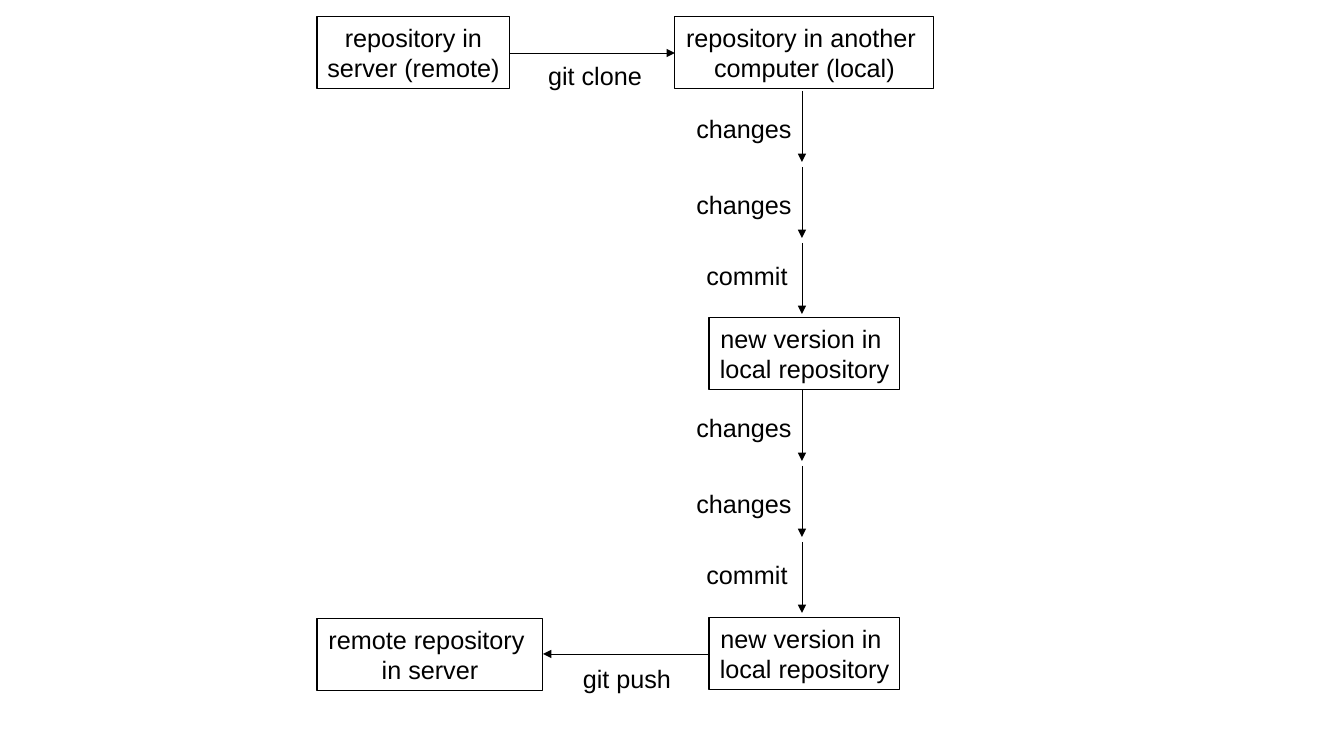
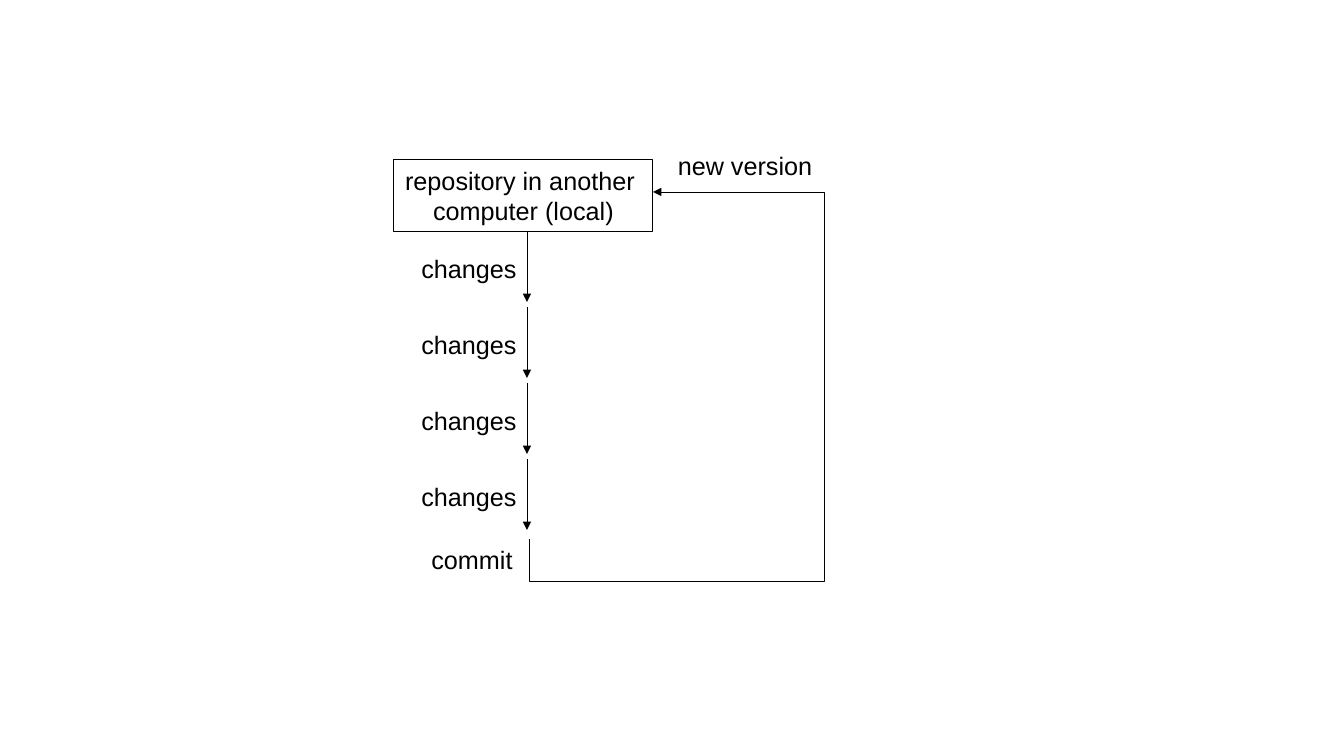
from pptx import Presentation
from pptx.dml.color import RGBColor
from pptx.enum.shapes import MSO_CONNECTOR, MSO_SHAPE
from pptx.enum.text import MSO_ANCHOR, MSO_AUTO_SIZE, PP_ALIGN
from pptx.oxml.ns import qn
from pptx.util import Pt
from lxml.etree import SubElement

PX = 914400 / 100.8
COLORS = {"ink": "000000", "paper": "FFFFFF"}
FONT = "Arial"
BOX_H, LABEL_H = 72, 40
STEP_PITCH, STEP_LENGTH = 76, 71
LABEL_WIDTHS = {"changes": 117, "commit": 103, "git clone": 115,
                "git push": 110, "new version": 156}
STEP_OFFSETS = {"changes": (-58, 17), "commit": (-55, 12)}

LOCAL = ["repository in another ", "computer (local)"]
VERSION = ["new version in ", "local repository"]

SLIDES = [
    {
        "boxes": [
            (317, 17, 193, ["repository in", "server (remote)"]),
            (675, 17, 259, LOCAL),
            (709, 318, 191, VERSION),
            (709, 618, 191, VERSION),
            (317, 619, 226, ["remote repository ", "in server"]),
        ],
        "chains": [
            (802, 91, ["changes", "changes", "commit"]),
            (802, 390, ["changes", "changes", "commit"]),
        ],
        "arrows": [[(510, 53), (675, 53)], [(709, 654), (543, 654)]],
        "labels": [(595, 55, "git clone"), (627, 658, "git push")],
    },
    {
        "boxes": [(394, 160, 259, LOCAL)],
        "chains": [(527, 231, ["changes"] * 4)],
        "arrows": [[(529, 539), (529, 581), (824, 581), (824, 192), (653, 192)]],
        "labels": [(472, 539, "commit"), (745, 145, "new version")],
    },
]


def px(n):
    return round(n * PX)


def rgb(name):
    return RGBColor.from_string(COLORS[name])


def put_text(sp, lines, size=18, color="ink", align=PP_ALIGN.CENTER):
    tf = sp.text_frame
    tf.word_wrap = False
    tf.auto_size = MSO_AUTO_SIZE.SHAPE_TO_FIT_TEXT
    tf.vertical_anchor = MSO_ANCHOR.TOP
    for i, line in enumerate(lines):
        p = tf.add_paragraph() if i else tf.paragraphs[0]
        p.alignment = align
        r = p.add_run()
        r.text = line
        r.font.name = FONT
        r.font.size = Pt(size)
        r.font.color.rgb = rgb(color)


def add_box(s, x, y, w, lines):
    sp = s.shapes.add_shape(MSO_SHAPE.RECTANGLE, px(x), px(y), px(w), px(BOX_H))
    sp.shadow.inherit = False
    sp.fill.background()
    sp.line.color.rgb = rgb("ink")
    sp.line.width = Pt(0.75)
    put_text(sp, lines)


def add_label(s, center, y, text):
    w = LABEL_WIDTHS[text]
    sp = s.shapes.add_textbox(px(center - w / 2), px(y), px(w), px(LABEL_H))
    put_text(sp, [text])


def add_arrow(s, points):
    points = [(px(x), px(y)) for x, y in points]
    if len(points) == 2:
        sp = s.shapes.add_connector(MSO_CONNECTOR.STRAIGHT, *points[0], *points[1])
    else:
        outline = s.shapes.build_freeform(*points[0])
        outline.add_line_segments(points[1:], close=False)
        sp = outline.convert_to_shape()
        sp.fill.background()
    sp.line.color.rgb = rgb("ink")
    sp.line.width = Pt(0.5)
    SubElement(sp.line._get_or_add_ln(), qn("a:tailEnd"), type="triangle")
    SubElement(sp._element.spPr, qn("a:effectLst"))


def add_chain(s, x, top, steps):
    for i, step in enumerate(steps):
        y = top + i * STEP_PITCH
        dx, dy = STEP_OFFSETS[step]
        add_arrow(s, [(x, y), (x, y + STEP_LENGTH)])
        add_label(s, x + dx, y + dy, step)


prs = Presentation()
prs.slide_width, prs.slide_height = px(1344), px(756)
background = prs.slide_master.background.fill
background.solid()
background.fore_color.rgb = rgb("paper")

for content in SLIDES:
    s = prs.slides.add_slide(prs.slide_layouts[6])
    for box in content["boxes"]:
        add_box(s, *box)
    for chain in content["chains"]:
        add_chain(s, *chain)
    for points in content["arrows"]:
        add_arrow(s, points)
    for label in content["labels"]:
        add_label(s, *label)

prs.save("out.pptx")
